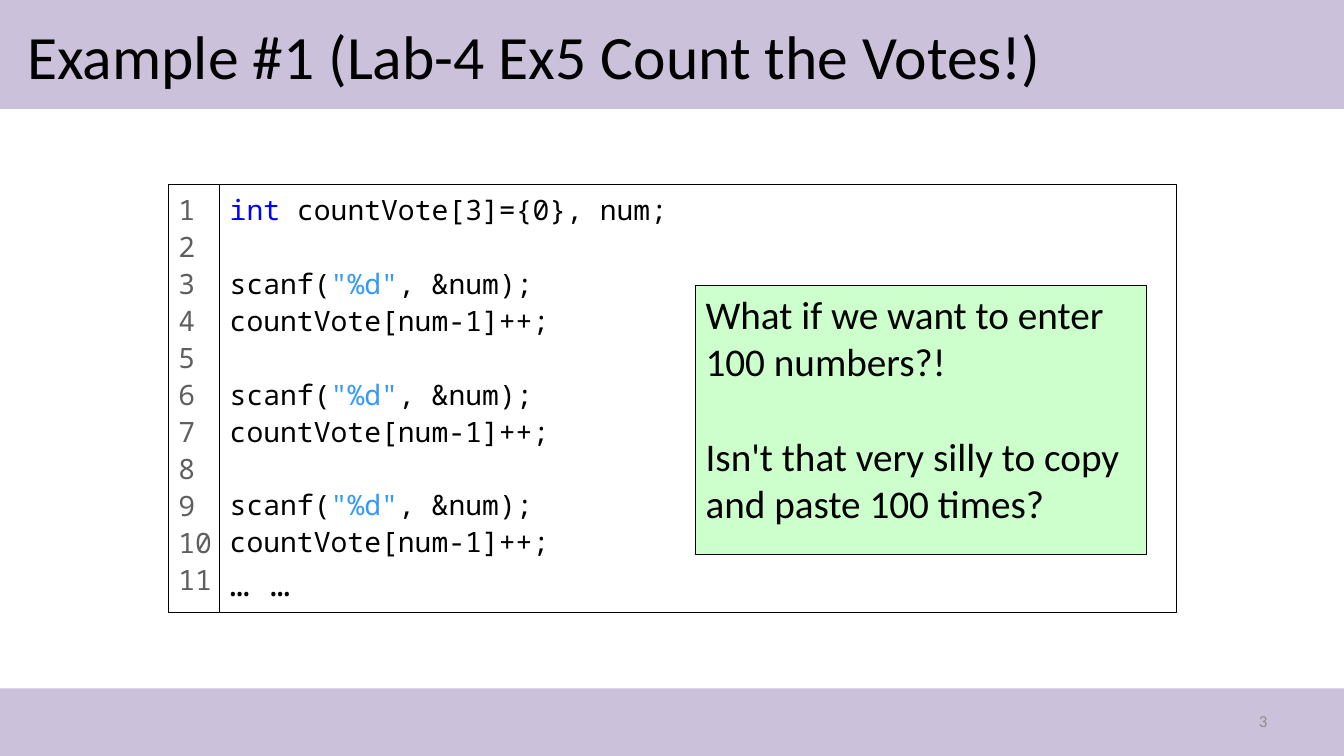
from dataclasses import dataclass

from pptx import Presentation
from pptx.dml.color import RGBColor
from pptx.enum.shapes import MSO_SHAPE
from pptx.enum.text import MSO_ANCHOR, MSO_AUTO_SIZE, PP_ALIGN
from pptx.util import Inches, Pt


@dataclass(frozen=True)
class Theme:
    body_font: str = "Calibri"
    code_font: str = "Noto Sans Mono"
    band: str = "CCC1DA"
    paper: str = "FFFFFF"
    note: str = "CCFFCC"
    ink: str = "000000"
    keyword: str = "0000FF"
    string: str = "3399FF"
    line_number: str = "5F5F5F"
    page_number: str = "8C8C8C"
    title_size: float = 44
    note_size: float = 28
    ellipsis_size: float = 24
    code_size: float = 20
    page_size: float = 12
    code_spacing: float = 1.1
    code_gap: float = 26.3  # height of one line of code
    note_gap: float = 34.2  # height of one line of the note


THEME = Theme()


def add_run(p, text, font, size, color=THEME.ink):
    r = p.add_run()
    r.text = text
    for name, value in {"name": font, "size": Pt(size)}.items():
        setattr(r.font, name, value)
    r.font.color.rgb = RGBColor.from_string(color)


def set_frame(tf, anchor=MSO_ANCHOR.TOP, right=0.1):
    settings = {
        "word_wrap": True, "auto_size": MSO_AUTO_SIZE.NONE,
        "vertical_anchor": anchor,
        "margin_left": Inches(0.1), "margin_right": Inches(right),
        "margin_top": Inches(0.05), "margin_bottom": Inches(0.05),
    }
    for name, value in settings.items():
        setattr(tf, name, value)


def add_paragraph(tf, index, gap=0, **settings):
    p = tf.paragraphs[0] if index == 0 else tf.add_paragraph()
    settings = {"alignment": PP_ALIGN.LEFT, **settings}
    if gap:
        settings["space_before"] = Pt(gap)
    for name, value in settings.items():
        setattr(p, name, value)
    return p


def add_rect(s, left, top, width, height, fill, outlined=True):
    sp = s.shapes.add_shape(MSO_SHAPE.RECTANGLE, Inches(left), Inches(top),
                            Inches(width), Inches(height))
    sp.shadow.inherit = False
    sp.fill.solid()
    sp.fill.fore_color.rgb = RGBColor.from_string(fill)
    if outlined:
        sp.line.color.rgb = RGBColor.from_string(THEME.ink)
        sp.line.width = Pt(0.75)
    else:
        sp.line.fill.background()
    return sp


def add_title(s, text):
    title = s.shapes.title
    box = {"left": 0.17, "top": 0.08, "width": 12.92, "height": 0.92}
    for name, value in box.items():
        setattr(title, name, Inches(value))
    set_frame(title.text_frame, MSO_ANCHOR.MIDDLE)
    p = add_paragraph(title.text_frame, 0)
    add_run(p, text, THEME.body_font, THEME.title_size)
    s.shapes._spTree.append(title._element)  # bring in front of the band


def add_code(s, left, top, width, height, lines):
    """Each line is a list of (text, color, size); an empty list is a gap."""
    gutter = 0.51
    sp = add_rect(s, left + gutter, top, width - gutter, height, THEME.paper)
    numbers = add_rect(s, left, top, gutter, height, THEME.paper)
    set_frame(sp.text_frame)
    set_frame(numbers.text_frame, right=0)
    gap = 0
    for i, line in enumerate(lines):
        p = add_paragraph(numbers.text_frame, i,
                          line_spacing=THEME.code_spacing)
        add_run(p, str(i + 1), THEME.code_font, THEME.code_size,
                THEME.line_number)
        if not line:
            gap += THEME.code_gap
            continue
        p = add_paragraph(sp.text_frame, i, gap,
                          line_spacing=THEME.code_spacing)
        for text, color, size in line:
            add_run(p, text, THEME.code_font, size, color)
        gap = 0


def add_note(s, left, top, width, height, texts):
    tf = add_rect(s, left, top, width, height, THEME.note).text_frame
    set_frame(tf)
    for i, text in enumerate(texts):
        p = add_paragraph(tf, i, THEME.note_gap if i else 0)
        add_run(p, text, THEME.body_font, THEME.note_size)


def add_page_number(s, number):
    sp = s.shapes.add_textbox(Inches(9.56), Inches(6.95),
                              Inches(3.11), Inches(0.4))
    set_frame(sp.text_frame, MSO_ANCHOR.MIDDLE)
    p = add_paragraph(sp.text_frame, 0, alignment=PP_ALIGN.RIGHT)
    add_run(p, number, THEME.body_font, THEME.page_size, THEME.page_number)


def main():
    prs = Presentation()
    prs.slide_width, prs.slide_height = Inches(13.33), Inches(7.5)
    s = prs.slides.add_slide(prs.slide_layouts[5])

    # Header and footer bands
    for top, height in ((0, 1.08), (6.83, 0.67)):
        add_rect(s, 0, top, 13.33, height, THEME.band, outlined=False)
    add_title(s, "Example #1 (Lab-4 Ex5 Count the Votes!)")
    add_page_number(s, "3")

    # Code listing: one declaration, then the same vote three times
    size = THEME.code_size
    vote = [
        [],
        [("scanf(", THEME.ink, size), ('"%d"', THEME.string, size),
         (", &num);", THEME.ink, size)],
        [("countVote[num-1]++;", THEME.ink, size)],
    ]
    lines = [
        [("int ", THEME.keyword, size),
         ("countVote[3]={0}, num;", THEME.ink, size)],
        *vote * 3,
        [("… …", THEME.ink, THEME.ellipsis_size)],
    ]
    add_code(s, 1.67, 1.83, 10, 4.25, lines)

    # Question beside the code
    add_note(s, 6.9, 2.83, 4.47, 2.67, [
        "What if we want to enter 100 numbers?!",
        "Isn't that very silly to copy and paste 100 times?",
    ])
    prs.save("out.pptx")


if __name__ == "__main__":
    main()
